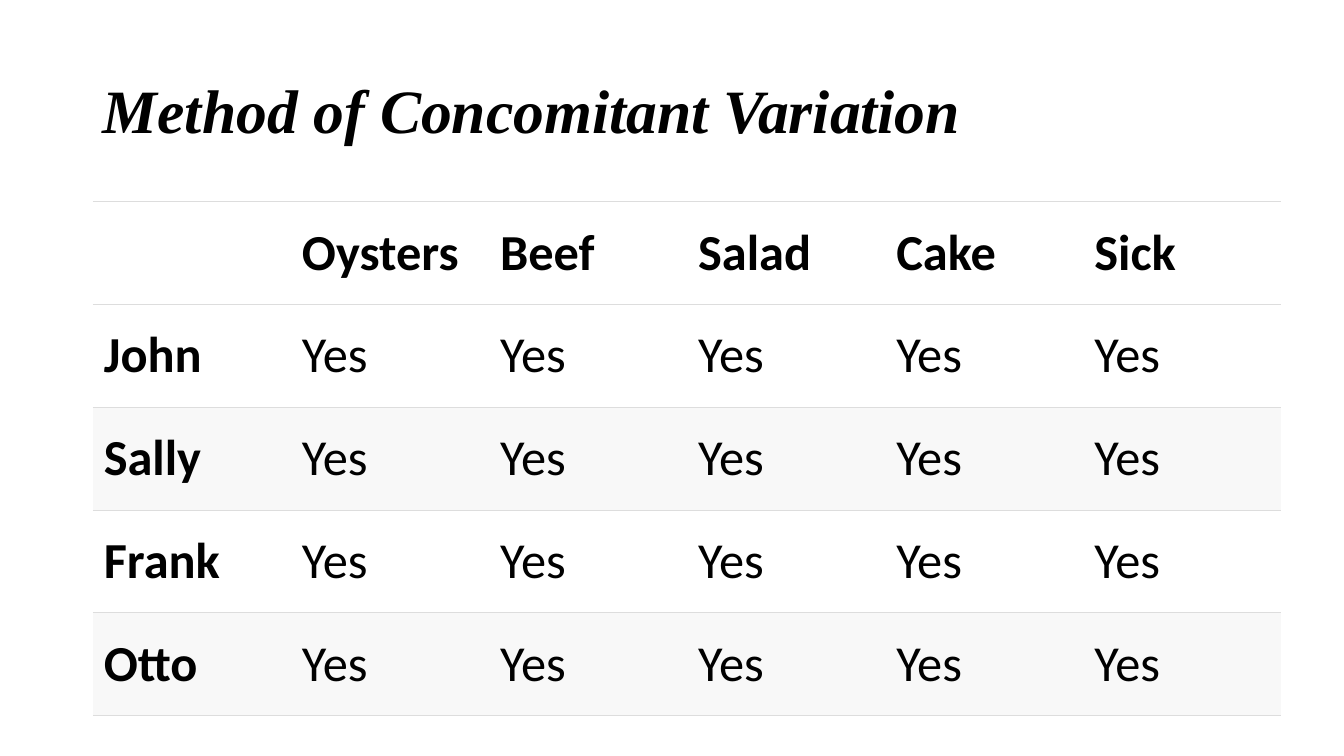
from lxml.etree import SubElement
from pptx import Presentation
from pptx.dml.color import RGBColor
from pptx.enum.text import MSO_ANCHOR as Anchor, PP_ALIGN as Align
from pptx.oxml.ns import qn
from pptx.util import Inches, Pt

BLACK, WHITE, BAND, RULE = "000000", "FFFFFF", "F8F8F8", "DDDDDD"
FOODS = ["Oysters", "Beef", "Salad", "Cake", "Sick"]
GUESTS = ["John", "Sally", "Frank", "Otto"]


def color(hex_string):
    return RGBColor.from_string(hex_string)


def format_text(text_frame, font_name, size, bold, italic=False):
    for paragraph in text_frame.paragraphs:
        paragraph.alignment = Align.LEFT
        for run in paragraph.runs:
            font = run.font
            font.name, font.size = font_name, Pt(size)
            font.bold, font.italic = bold, italic
            font.color.rgb = color(BLACK)


def set_borders(cell, bottom_width):
    """Rule the cell above and below, with open sides."""
    properties = cell._tc.get_or_add_tcPr()
    for side in ("a:lnL", "a:lnR"):
        SubElement(SubElement(properties, qn(side), w="0"), qn("a:noFill"))
    for side, width in (("a:lnT", 0.6), ("a:lnB", bottom_width)):
        line = SubElement(properties, qn(side), w=str(Pt(width)))
        fill = SubElement(line, qn("a:solidFill"))
        SubElement(fill, qn("a:srgbClr"), val=RULE)


def add_title(slide, left, top, width, height):
    title = slide.shapes.title
    title.left, title.top = Inches(left), Inches(top)
    title.width, title.height = Inches(width), Inches(height)
    text_frame = title.text_frame
    text_frame.text = "Method of Concomitant Variation"
    text_frame.vertical_anchor = Anchor.MIDDLE
    text_frame.paragraphs[0].line_spacing = 0.9
    format_text(text_frame, "Times New Roman", 44, bold=True, italic=True)


def add_meal_table(slide, left, top, width, height):
    rows = [["", *FOODS]] + [[guest] + ["Yes"] * len(FOODS) for guest in GUESTS]
    frame = slide.shapes.add_table(len(rows), len(rows[0]), Inches(left),
                                   Inches(top), Inches(width), Inches(height))
    table = frame.table
    for row_index, row in enumerate(rows):
        banded = row_index > 0 and row_index % 2 == 0
        is_last = row_index == len(rows) - 1
        for column_index, text in enumerate(row):
            cell = table.cell(row_index, column_index)
            cell.text_frame.text = text
            cell.vertical_anchor = Anchor.MIDDLE
            cell.margin_left = cell.margin_right = Inches(0.11)
            cell.margin_top = cell.margin_bottom = Inches(0.05)
            is_heading = row_index == 0 or column_index == 0
            format_text(cell.text_frame, "Calibri", 36, bold=is_heading)
            set_borders(cell, 1.2 if is_last else 0.6)
            cell.fill.solid()
            cell.fill.fore_color.rgb = color(BAND if banded else WHITE)


def main():
    presentation = Presentation()
    presentation.slide_width = Inches(13.33)
    presentation.slide_height = Inches(7.5)
    slide = presentation.slides.add_slide(presentation.slide_layouts[5])

    # Title
    add_title(slide, 0.92, 0.4, 11.5, 1.45)

    # Who ate what, and who fell sick
    add_meal_table(slide, 0.92, 2, 11.79, 5.1)

    presentation.save("out.pptx")


if __name__ == "__main__":
    main()
